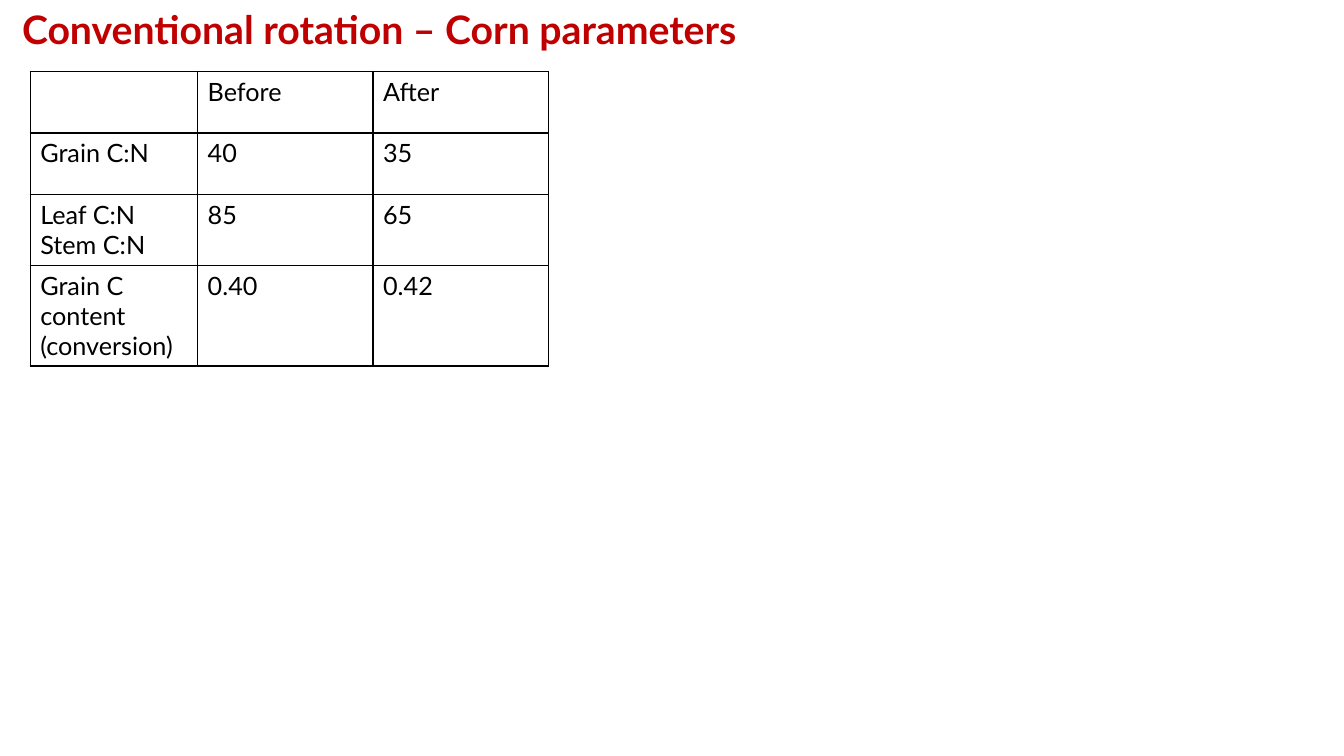
from pptx import Presentation
from pptx.dml.color import RGBColor
from pptx.enum.text import MSO_AUTO_SIZE, PP_ALIGN
from pptx.oxml import parse_xml
from pptx.oxml.ns import nsdecls
from pptx.util import Inches, Pt

# Content
TITLE = "Conventional rotation – Corn parameters"
ROWS = [
    ("", "Before", "After"),
    ("Grain C:N", "40", "35"),
    ("Leaf C:N\nStem C:N", "85", "65"),
    ("Grain C content (conversion)", "0.40", "0.42"),
]
COL_WIDTHS = (1.66, 1.74, 1.74)
ROW_HEIGHT = 0.61
FONT, RED, BLACK = "Lato", "C00000", "000000"


def style(tf, size, color, bold=False):
    for p in tf.paragraphs:
        # An empty paragraph takes its size from the paragraph font
        for font in [r.font for r in p.runs] or [p.font]:
            font.name, font.size, font.bold = FONT, Pt(size), bold
            font.color.rgb = RGBColor.from_string(color)


def add_borders(cell, color, width):
    tc_pr = cell._tc.get_or_add_tcPr()
    for i, side in enumerate(("lnL", "lnR", "lnT", "lnB")):
        tc_pr.insert(i, parse_xml(
            f'<a:{side} {nsdecls("a")} w="{Pt(width)}"><a:solidFill>'
            f'<a:srgbClr val="{color}"/></a:solidFill></a:{side}>'))


prs = Presentation()
prs.slide_width, prs.slide_height = Inches(13.33), Inches(7.5)
s = prs.slides.add_slide(prs.slide_layouts[6])

# Parameter table
table = s.shapes.add_table(
    len(ROWS), len(COL_WIDTHS), Inches(0.3), Inches(0.71),
    Inches(sum(COL_WIDTHS)), Inches(ROW_HEIGHT * len(ROWS))).table
table.first_row = table.horz_banding = False
for col, width in zip(table.columns, COL_WIDTHS):
    col.width = Inches(width)
for row, texts in zip(table.rows, ROWS):
    row.height = Inches(ROW_HEIGHT)
    for cell, text in zip(row.cells, texts):
        cell.text_frame.text = text
        style(cell.text_frame, 18, BLACK)
        cell.fill.background()
        add_borders(cell, BLACK, 1)

# Title
tf = s.shapes.add_textbox(0, 0, Inches(7.52), Inches(0.57)).text_frame
tf.word_wrap = True
tf.auto_size = MSO_AUTO_SIZE.SHAPE_TO_FIT_TEXT
tf.text = TITLE
tf.paragraphs[0].alignment = PP_ALIGN.CENTER
style(tf, 28, RED, bold=True)

prs.save("out.pptx")
